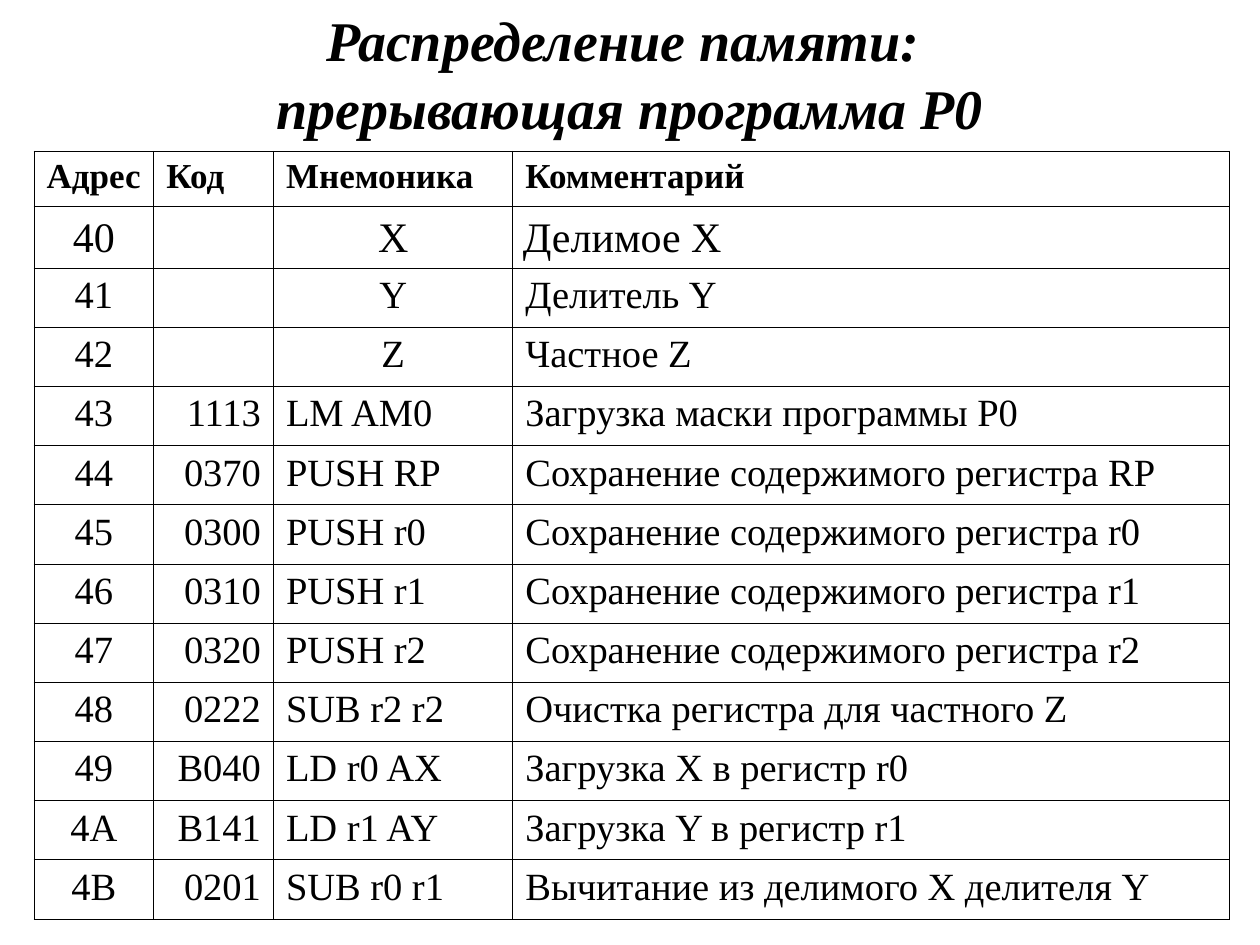
from pptx import Presentation
from pptx.dml.color import RGBColor
from pptx.enum.text import MSO_ANCHOR, MSO_AUTO_SIZE, PP_ALIGN as Align
from pptx.oxml.ns import qn
from pptx.util import Inches, Pt
from lxml.etree import SubElement

COLORS = {"ink": "000000"}
FONT = "Times New Roman"
TITLE = "Распределение памяти: \vпрерывающая программа Р0"
HEADERS = ("Адрес", "Код", "Мнемоника", "Комментарий")
MEMORY = (
    ("40", "", "X", "Делимое X"),
    ("41", "", "Y", "Делитель Y"),
    ("42", "", "Z", "Частное Z"),
    ("43", "1113", "LM AM0", "Загрузка маски программы P0"),
    ("44", "0370", "PUSH RP", "Сохранение содержимого регистра RP"),
    ("45", "0300", "PUSH r0", "Сохранение содержимого регистра r0"),
    ("46", "0310", "PUSH r1", "Сохранение содержимого регистра r1"),
    ("47", "0320", "PUSH r2", "Сохранение содержимого регистра r2"),
    ("48", "0222", "SUB r2 r2", "Очистка регистра для частного Z"),
    ("49", "B040", "LD r0 AX", "Загрузка X в регистр r0"),
    ("4A", "B141", "LD r1 AY", "Загрузка Y в регистр r1"),
    ("4B", "0201", "SUB r0 r1", "Вычитание из делимого X делителя Y"),
)
COLUMN_WIDTHS = (0.95, 0.95, 1.9, 5.69)
ROW_HEIGHTS = (0.44, 0.42) + (0.47,) * 11


def format_runs(para, size, bold=False, italic=False):
    for span in para.runs:
        font = span.font
        font.name, font.size = FONT, Pt(size)
        font.bold, font.italic = bold, italic
        font.color.rgb = RGBColor.from_string(COLORS["ink"])


def set_borders(cell, width=0.45):
    properties = cell._tc.get_or_add_tcPr()
    for position, side in enumerate(("lnL", "lnR", "lnT", "lnB")):
        line = properties.makeelement(qn(f"a:{side}"), {"w": str(Pt(width))})
        fill = SubElement(line, qn("a:solidFill"))
        SubElement(fill, qn("a:srgbClr"), val=COLORS["ink"])
        properties.insert(position, line)


def place_title(page, left, top, width, height):
    title = page.shapes.title
    title.left, title.top = Inches(left), Inches(top)
    title.width, title.height = Inches(width), Inches(height)
    frame = title.text_frame
    frame.text = TITLE
    frame.word_wrap = True
    frame.auto_size = MSO_AUTO_SIZE.NONE
    frame.vertical_anchor = MSO_ANCHOR.MIDDLE
    para = frame.paragraphs[0]
    para.alignment = Align.CENTER
    format_runs(para, 32, bold=True, italic=True)
    # The line break needs the title's size too, or it stretches its line.
    for line_break in para._p.findall(qn("a:br")):
        SubElement(line_break, qn("a:rPr"), sz="3200")


def cell_alignment(column, is_header, has_code):
    if is_header or column == 3:
        return Align.JUSTIFY
    if column == 0:
        return Align.CENTER
    if column == 1:
        return Align.RIGHT
    return Align.LEFT if has_code else Align.CENTER


def fill_cell(cell, text, alignment, size, is_header, is_first):
    """Write one cell; the first data row has tighter sides and looser lines."""
    cell.fill.background()
    set_borders(cell)
    cell.margin_left = cell.margin_right = Inches(0.08 if is_first else 0.1)
    cell.margin_top = cell.margin_bottom = Inches(0.05)
    cell.text_frame.text = text
    para = cell.text_frame.paragraphs[0]
    para.alignment = alignment
    if is_first:
        para.line_spacing = 1.05
    format_runs(para, size, bold=is_header)


def place_memory_table(page, left, top, width, height):
    rows = (HEADERS,) + MEMORY
    table = page.shapes.add_table(
        len(rows), len(HEADERS),
        Inches(left), Inches(top), Inches(width), Inches(height)).table
    table.first_row = table.horz_banding = False
    for column, column_width in zip(table.columns, COLUMN_WIDTHS):
        column.width = Inches(column_width)
    for row, row_height in zip(table.rows, ROW_HEIGHTS):
        row.height = Inches(row_height)
    for row_index, values in enumerate(rows):
        is_header, is_first = row_index == 0, row_index == 1
        size = {0: 20, 1: 24}.get(row_index, 22)
        for column, text in enumerate(values):
            alignment = cell_alignment(column, is_header, bool(values[1]))
            fill_cell(table.cell(row_index, column), text, alignment, size,
                      is_header, is_first)


def main():
    deck = Presentation()
    deck.slide_width, deck.slide_height = Inches(10), Inches(7.5)
    page = deck.slides.add_slide(deck.slide_layouts[5])
    place_title(page, 0, 0.09, 10, 0.98)
    place_memory_table(page, 0.27, 1.2, sum(COLUMN_WIDTHS), sum(ROW_HEIGHTS))
    deck.save("out.pptx")


if __name__ == "__main__":
    main()
